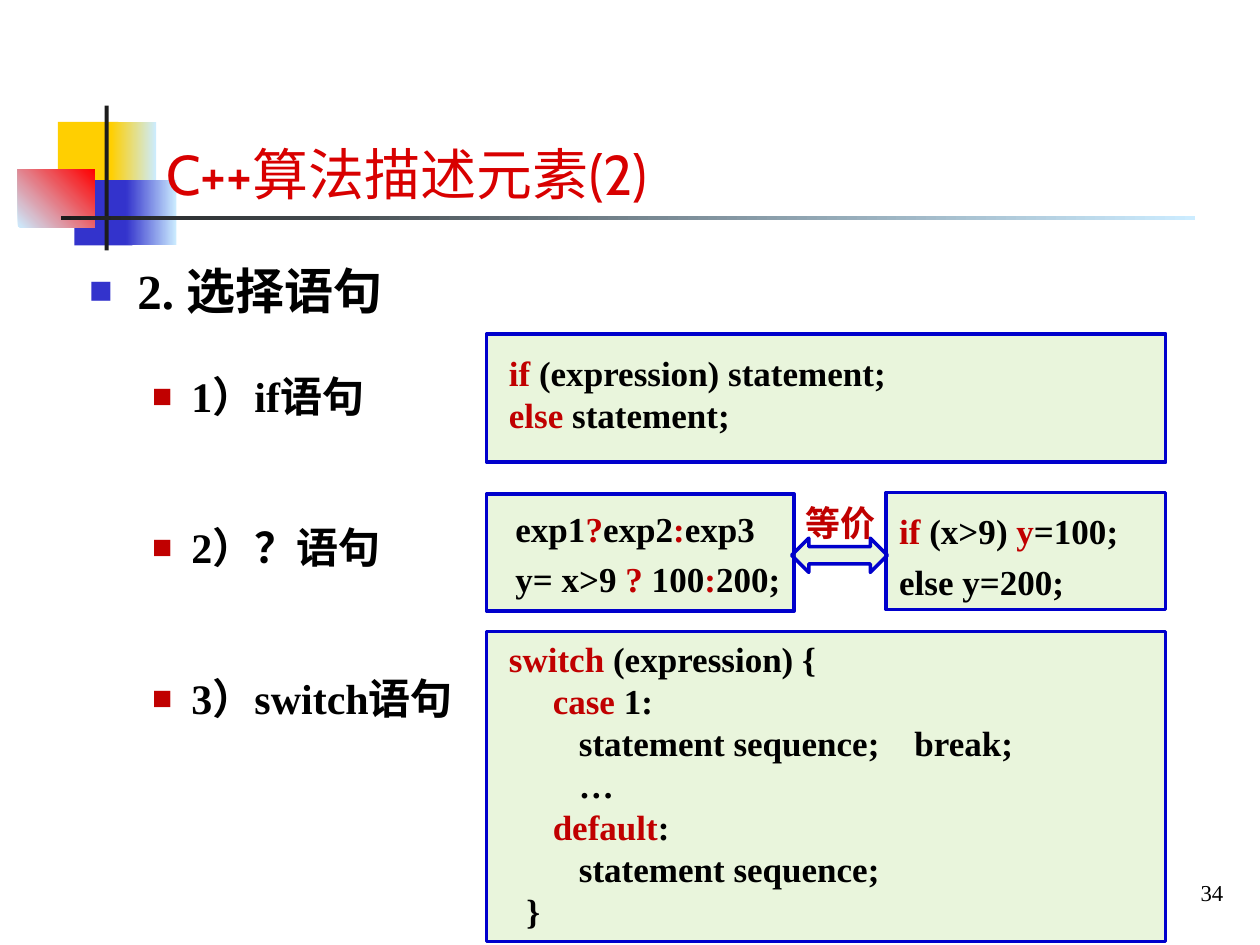
from lxml import etree
from pptx import Presentation
from pptx.dml.color import RGBColor
from pptx.enum.shapes import MSO_SHAPE
from pptx.enum.text import MSO_ANCHOR, PP_ALIGN
from pptx.oxml.ns import qn
from pptx.util import Cm, Pt

RECTANGLE = MSO_SHAPE.RECTANGLE
DOUBLE_ARROW = MSO_SHAPE.LEFT_RIGHT_ARROW
TOP, MIDDLE, BOTTOM = MSO_ANCHOR.TOP, MSO_ANCHOR.MIDDLE, MSO_ANCHOR.BOTTOM
LEFT, CENTER, RIGHT = PP_ALIGN.LEFT, PP_ALIGN.CENTER, PP_ALIGN.RIGHT
SERIF, TITLE_FONT = "Times New Roman", "Cabin"
COLORS = {
    "yellow": "FFCF01", "blue": "3333CC", "red": "FF0000", "sky": "CCECFF",
    "ink": "1C1C1C", "title": "D80000", "text": "000000", "keyword": "C00000",
    "panel": "92D050", "border": "0000CC",
}


def rgb(name):
    """Return the named colour."""
    return RGBColor.from_string(COLORS[name])


def add_block(slide, kind, box):
    """Add a preset shape without shadow or outline."""
    block = slide.shapes.add_shape(kind, *map(Cm, box))
    block.shadow.inherit = False
    block.line.fill.background()
    return block


def add_outlined(slide, kind, box):
    """Add a translucent green shape with a blue border."""
    outlined = add_block(slide, kind, box)
    outlined.fill.solid()
    outlined.fill.fore_color.rgb = rgb("panel")
    tint = outlined.element.spPr.find(qn("a:solidFill"))[0]
    etree.SubElement(tint, qn("a:alpha"), val="20000")
    outlined.line.color.rgb = rgb("border")
    outlined.line.width = Pt(2)
    return outlined


def style_font(font, size, color, name=SERIF, bold=True):
    """Set the look of one font."""
    font.size, font.name, font.bold = Pt(size), name, bold
    font.color.rgb = rgb(color)


def add_frame(slide, box, anchor=TOP, wrap=True):
    """Add a text box and return its text frame."""
    frame = slide.shapes.add_textbox(*map(Cm, box)).text_frame
    frame.word_wrap = wrap
    frame.vertical_anchor = anchor
    return frame


def add_label(slide, box, text, size, color, name=SERIF, bold=True,
              align=LEFT, anchor=TOP, wrap=True):
    """Add a single line of text."""
    frame = add_frame(slide, box, anchor, wrap)
    frame.text = text
    line = frame.paragraphs[0]
    line.alignment = align
    style_font(line.runs[0].font, size, color, name, bold)


def add_motif(slide, left, top):
    """Draw the overlapping squares and the two rules beside the title."""
    pieces = [
        (0.81, 0.33, 1.22, 1.32, "yellow", None, 0),
        (1.88, 0.33, 0.91, 1.32, "yellow", "sky", 0),
        (1.14, 1.5, 1.17, 1.32, "blue", None, 0),
        (2.18, 1.5, 1.02, 1.32, "blue", "sky", 0),
        (0, 1.28, 1.55, 1.17, "sky", "red", 45),
        (1.75, 0, 0.08, 2.92, "ink", None, 0),
        (0.87, 2.22, 22.86, 0.08, "ink", "sky", 0),
    ]
    for x, y, width, height, start, end, angle in pieces:
        fill = add_block(slide, RECTANGLE, (left + x, top + y, width, height)).fill
        if end is None:
            fill.solid()
            fill.fore_color.rgb = rgb(start)
            continue
        fill.gradient()
        fill.gradient_angle = angle
        for stop, color, position in zip(fill.gradient_stops, (start, end), (0, 1)):
            stop.color.rgb = rgb(color)
            stop.position = position


def add_bullet(paragraph, color, margin, indent):
    """Give a paragraph a square bullet and a hanging indent."""
    props = paragraph._p.get_or_add_pPr()
    props.set("marL", str(Cm(margin)))
    props.set("indent", str(Cm(-indent)))
    tint = etree.SubElement(props, qn("a:buClr"))
    etree.SubElement(tint, qn("a:srgbClr"), val=COLORS[color])
    etree.SubElement(props, qn("a:buSzPct"), val="80000")
    etree.SubElement(props, qn("a:buFont"), typeface="Arial")
    etree.SubElement(props, qn("a:buChar"), char="■")


def add_outline(slide, box, heading, topics):
    """Write the heading and its evenly spaced topics."""
    frame = add_frame(slide, box)
    frame.text = "\n".join([heading, *topics])
    first, *rest = frame.paragraphs
    add_bullet(first, "blue", 0.97, 0.97)
    style_font(first.runs[0].font, 28, "text")
    for index, topic in enumerate(rest):
        add_bullet(topic, "keyword", 2.06, 0.79)
        topic.level = 1
        topic.space_before = Pt(57.5 if index else 29)
        style_font(topic.runs[0].font, 24, "text")


def add_code_panel(slide, box, code_box, lines, spacing=1.0, wrap=True):
    """Draw a panel with code, in which bars enclose the red parts."""
    left, top = box[:2]
    x, y, width, height = code_box
    add_outlined(slide, RECTANGLE, box)
    frame = add_frame(slide, (left + x, top + y, width, height), wrap=wrap)
    for index, line in enumerate(lines):
        paragraph = frame.add_paragraph() if index else frame.paragraphs[0]
        paragraph.line_spacing = spacing
        for part, text in enumerate(line.split("|")):
            if text:
                run = paragraph.add_run()
                run.text = text
                style_font(run.font, 20, "keyword" if part % 2 else "text")


def add_equivalence(slide, left, top):
    """Draw the double arrow under its label."""
    arrow = add_outlined(slide, DOUBLE_ARROW, (left, top + 0.87, 1.93, 0.69))
    arrow.adjustments[0], arrow.adjustments[1] = 0.5, 0.5
    add_label(slide, (left - 0.17, top, 2.3, 1.12), "等价", 20, "keyword",
              align=CENTER, wrap=False)


def main():
    """Build the slide and save it."""
    deck = Presentation()
    deck.slide_width, deck.slide_height = Cm(25.4), Cm(19.05)
    slide = deck.slides.add_slide(deck.slide_layouts[6])
    add_motif(slide, 0.36, 2.13)
    add_outline(slide, (1.55, 5.13, 22.56, 13.61), "2. 选择语句",
                ["1）if语句", "2）？语句", "3）switch语句"])
    add_label(slide, (3.1, 1.52, 21.39, 2.77), "C++算法描述元素(2)", 32, "title",
              TITLE_FONT, bold=False, anchor=BOTTOM)
    add_code_panel(slide, (9.81, 6.73, 13.69, 2.59), (0.2, 0.23, 8.92, 1.96),
                   ["|if| (expression) statement;", "|else| statement;"])
    add_code_panel(slide, (9.81, 9.96, 6.2, 2.36), (0.33, -0.03, 5.84, 2.29),
                   ["exp1|?|exp2|:|exp3", "y= x>9 |?| 100|:|200;"],
                   spacing=1.2, wrap=False)
    add_code_panel(slide, (9.81, 12.73, 13.69, 6.25), (0.2, 0, 12.7, 6.2),
                   ["|switch| (expression) {",
                    "     |case| 1:",
                    "        statement sequence;    break;",
                    "        …",
                    "     |default|:",
                    "        statement sequence;",
                    "  }"])
    add_code_panel(slide, (17.86, 9.93, 5.64, 2.36), (-0.16, 0.05, 5.74, 2.29),
                   ["| if |(x>9) |y|=100;", " else y=200;"], spacing=1.2)
    add_equivalence(slide, 15.96, 9.98)
    add_label(slide, (20.06, 17.53, 4.85, 0.94), "34", 13, "text", bold=False,
              align=RIGHT, anchor=MIDDLE)
    deck.save("out.pptx")


if __name__ == "__main__":
    main()
